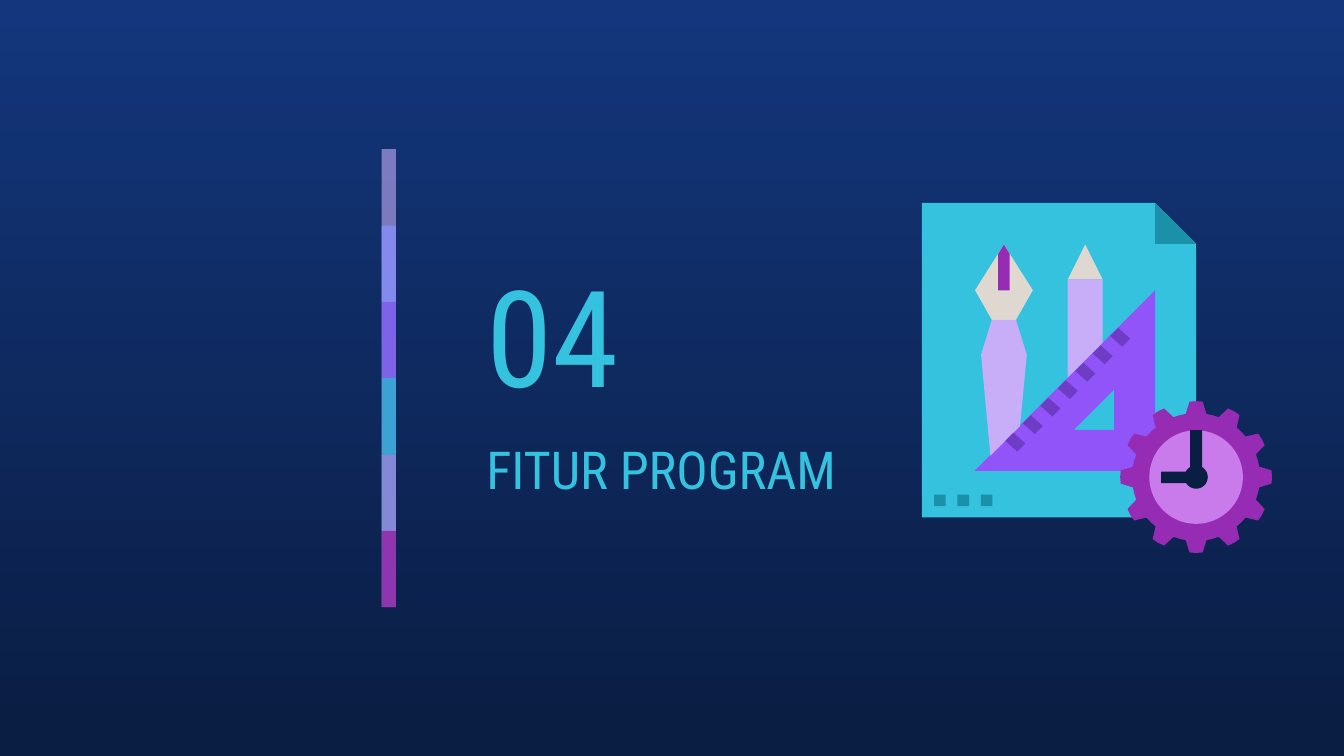
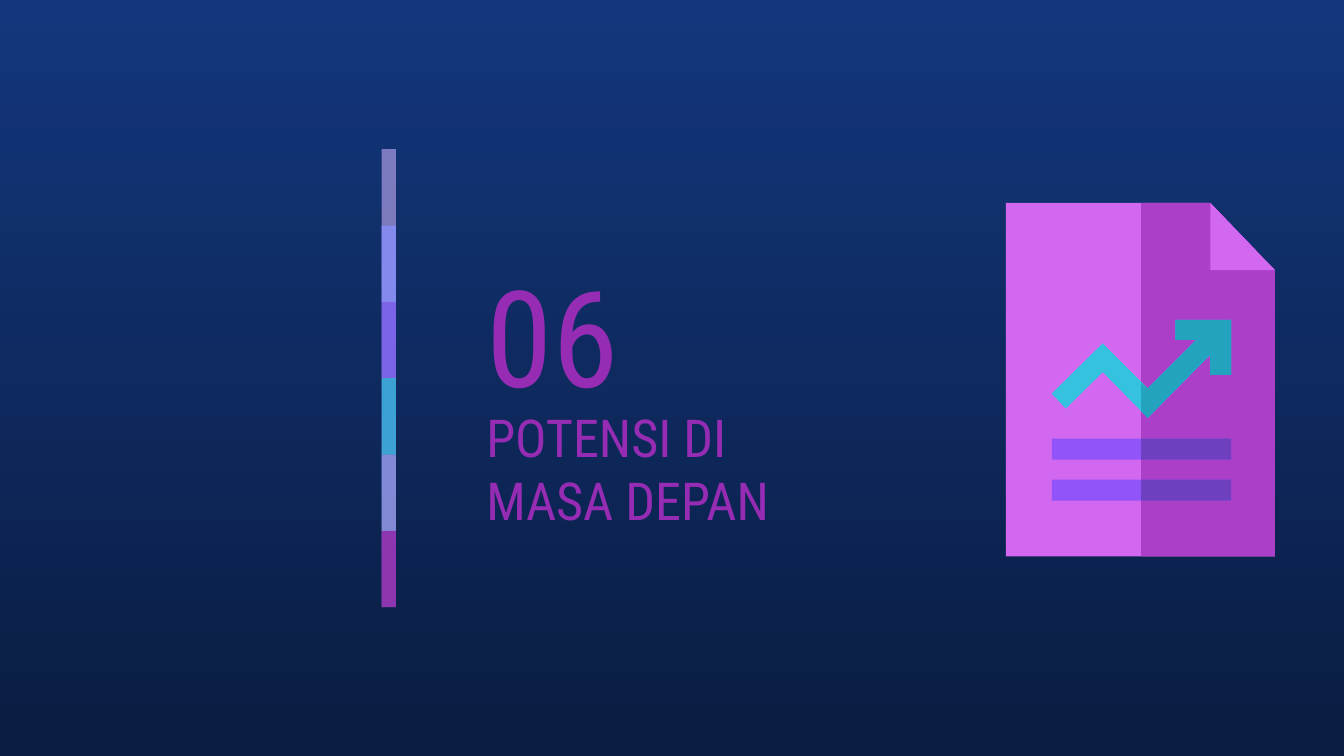
from collections.abc import Callable
from dataclasses import dataclass
from math import cos, radians, sin

from lxml import etree
from pptx import Presentation
from pptx.dml.color import RGBColor
from pptx.enum.shapes import MSO_SHAPE
from pptx.enum.text import MSO_ANCHOR
from pptx.oxml.ns import qn
from pptx.shapes.autoshape import Shape
from pptx.shapes.shapetree import GroupShapes
from pptx.slide import Slide
from pptx.util import Emu, Inches, Pt

RECTANGLE = MSO_SHAPE.RECTANGLE
OVAL = MSO_SHAPE.OVAL
MIDDLE = MSO_ANCHOR.MIDDLE

# The 16:9 slide is a grid of square cells, 100 columns wide
SLIDE_W = Inches(10)
SLIDE_H = Emu(SLIDE_W * 9 // 16)
CELL = SLIDE_W / 100

Point = tuple[float, float]


@dataclass(frozen=True)
class Theme:
    font: str = "Roboto Condensed"
    number_size: int = 72
    title_size: int = 28
    sky: str = "13367C"
    navy: str = "0A1D42"
    cyan: str = "35C2DF"
    teal: str = "1B91A9"
    sea: str = "24A3BE"
    periwinkle: str = "878FFF"
    violet: str = "9154F8"
    dark_violet: str = "6F3CC6"
    shaded_violet: str = "6E3FBE"
    lilac: str = "C8AEF8"
    orchid: str = "CA7BEB"
    pink: str = "D268EF"
    shaded_pink: str = "AB3FC8"
    purple: str = "972CB4"
    cream: str = "DED8D0"


THEME = Theme()


@dataclass(frozen=True)
class Box:
    left: float
    top: float
    width: float
    height: float

    def emu(self) -> list[Emu]:
        return [cells(v) for v in (self.left, self.top, self.width, self.height)]


@dataclass(frozen=True)
class Band:
    color: str
    opacity: int
    segments: int = 2


@dataclass(frozen=True)
class Section:
    number: str
    title: str
    color: str
    illustrate: Callable[[GroupShapes], None]


NUMBER_BOX = Box(35.2, 18.1, 17.5, 13.5)
TITLE_BOX = Box(35.2, 31.5, 28.7, 6.7)

# Each band runs under the next one, so the colours blend
BAND_LEFT, BAND_TOP, BAND_WIDTH, BAND_SEGMENT = 28.4, 11.1, 1.05, 5.68
BANDS = [
    Band(THEME.lilac, 59),
    Band(THEME.periwinkle, 74),
    Band(THEME.violet, 53),
    Band(THEME.cyan, 76),
    Band(THEME.orchid, 56),
    Band(THEME.purple, 74, segments=1),
]


def cells(count: float) -> Emu:
    return Emu(round(count * CELL))


# Drawing helpers
def paint(shape: Shape, color: str, opacity: int = 100) -> None:
    shape.shadow.inherit = False
    shape.line.fill.background()
    shape.fill.solid()
    shape.fill.fore_color.rgb = RGBColor.from_string(color)
    if opacity < 100:
        rgb = shape.fill._xPr.find(f".//{qn('a:srgbClr')}")
        etree.SubElement(rgb, qn("a:alpha"), val=str(opacity * 1000))


def draw_rect(shapes: GroupShapes, box: Box, color: str, opacity: int = 100) -> None:
    paint(shapes.add_shape(RECTANGLE, *box.emu()), color, opacity)


def draw_disc(shapes: GroupShapes, center: Point, radius: float, color: str) -> None:
    box = Box(center[0] - radius, center[1] - radius, 2 * radius, 2 * radius)
    paint(shapes.add_shape(OVAL, *box.emu()), color)


def draw_outline(shapes: GroupShapes, color: str, *contours: list[Point]) -> None:
    scaled = [[(cells(x), cells(y)) for x, y in contour] for contour in contours]
    builder = shapes.build_freeform(*scaled[0][0])
    builder.add_line_segments(scaled[0][1:])
    for contour in scaled[1:]:
        builder.move_to(*contour[0])
        builder.add_line_segments(contour[1:])
    paint(builder.convert_to_shape(), color)


def add_text(slide: Slide, text: str, box: Box, *, size: int, color: str) -> None:
    frame = slide.shapes.add_textbox(*box.emu()).text_frame
    frame.word_wrap = True
    frame.vertical_anchor = MIDDLE
    frame.margin_left = frame.margin_right = cells(1)
    frame.margin_top = frame.margin_bottom = cells(1)
    run = frame.paragraphs[0].add_run()
    run.text = text
    run.font.name = THEME.font
    run.font.size = Pt(size)
    run.font.color.rgb = RGBColor.from_string(color)


# Design tools on a sheet, with a clock in a gear
def draw_gear(shapes: GroupShapes, center: Point, teeth: int = 12) -> None:
    root, tip, crown = 4.76, 5.63, 5.65
    tooth = [(-9.3, root), (-5, tip), (0, crown), (5, tip), (9.3, root), (15, root)]
    rim = []
    for index in range(teeth):
        for offset, radius in tooth:
            angle = radians(index * 360 / teeth + offset)
            rim.append((center[0] + radius * sin(angle), center[1] - radius * cos(angle)))
    draw_outline(shapes, THEME.purple, rim)


def draw_design_tools(shapes: GroupShapes) -> None:
    clock = (89, 35.5)
    # Sheet and its folded corner
    draw_outline(shapes, THEME.cyan,
                 [(68.6, 15.1), (68.6, 38.5), (89, 38.5), (89, 18.15), (85.95, 15.1)])
    draw_outline(shapes, THEME.teal, [(85.95, 15.1), (85.95, 18.15), (89, 18.15)])
    # Set square
    draw_outline(shapes, THEME.violet,
                 [(82.9, 29), (82.9, 32), (79.9, 32)],
                 [(85.95, 21.6), (72.5, 35.05), (85.95, 35.05)])
    draw_gear(shapes, clock)
    # Pencil
    draw_outline(shapes, THEME.cream, [(80.75, 18.2), (79.45, 20.8), (82.05, 20.8)])
    draw_outline(shapes, THEME.lilac,
                 [(79.45, 20.8), (79.45, 28.1), (82.05, 25.5), (82.05, 20.8)])
    # Pen
    draw_outline(shapes, THEME.cream,
                 [(74.7, 18.2), (72.55, 21.6), (73.8, 23.8), (75.6, 23.8), (76.85, 21.6)])
    draw_outline(shapes, THEME.lilac,
                 [(73.8, 23.8), (73, 26.4), (73.7, 33.9),
                  (75.9, 31.7), (76.4, 26.4), (75.6, 23.8)])
    # Clock face, hands and hub
    draw_disc(shapes, clock, 3.48, THEME.orchid)
    draw_outline(shapes, THEME.navy,
                 [(88.55, 32), (88.55, 35.1), (86.4, 35.1),
                  (86.4, 35.95), (89.45, 35.95), (89.45, 32)])
    draw_disc(shapes, clock, 0.87, THEME.navy)
    # Slit of the pen nib
    draw_outline(shapes, THEME.purple,
                 [(74.7, 18.2), (74.27, 18.9), (74.27, 21.6), (75.13, 21.6), (75.13, 18.9)])
    # Ruler marks along the set square
    for index in range(7):
        x, y = 74.8 + 1.3 * index, 32.8 - 1.3 * index
        draw_outline(shapes, THEME.dark_violet,
                     [(x + 0.6, y - 0.6), (x, y), (x + 0.9, y + 0.8), (x + 1.5, y + 0.2)])
    # Dots at the foot of the sheet
    for index in range(3):
        draw_rect(shapes, Box(69.5 + 1.74 * index, 36.8, 0.87, 0.87), THEME.teal)


# Report page with a rising trend, its right half shaded
def draw_growth_report(shapes: GroupShapes) -> None:
    top, bottom, left, middle, right = 15.1, 41.4, 74.85, 84.9, 94.85
    fold = [(90.05, top), (right, 20.1)]
    for edge, color in ((left, THEME.pink), (middle, THEME.shaded_pink)):
        draw_outline(shapes, color,
                     [(edge, top), (edge, bottom), (right, bottom), *reversed(fold)])
    draw_outline(shapes, THEME.pink, [*fold, (90.05, 20.1)])

    # Trend arrow
    head = [(90.05, 26.4), (90.05, 27.9), (91.6, 27.9), (91.6, 23.8),
            (87.45, 23.8), (87.45, 25.3), (89, 25.3), (85.4, 28.9)]
    tail = [(82.05, 25.55), (78.25, 29.3), (79.3, 30.4), (82.05, 27.7), (85.4, 31.1)]
    shaded_tail = [(middle, 28.5), (middle, 30.6), (85.4, 31.1)]
    draw_outline(shapes, THEME.cyan, head + tail)
    draw_outline(shapes, THEME.sea, head + shaded_tail)

    # Lines of text
    text_left, text_right = 78.27, 91.6
    for line_top in (32.65, 35.7):
        for edge, color in ((text_left, THEME.violet), (middle, THEME.shaded_violet)):
            draw_rect(shapes, Box(edge, line_top, text_right - edge, 1.55), color)


# Parts that every section slide shares
def draw_background(slide: Slide) -> None:
    fill = slide.background.fill
    fill.gradient()
    fill.gradient_angle = 270
    for stop, color in zip(fill.gradient_stops, (THEME.sky, THEME.navy)):
        stop.color.rgb = RGBColor.from_string(color)


def draw_bands(shapes: GroupShapes) -> None:
    for index, band in enumerate(BANDS):
        box = Box(BAND_LEFT, BAND_TOP + index * BAND_SEGMENT,
                  BAND_WIDTH, band.segments * BAND_SEGMENT)
        draw_rect(shapes, box, band.color, band.opacity)


def draw_section(slide: Slide, section: Section) -> None:
    draw_background(slide)
    draw_bands(slide.shapes.add_group_shape().shapes)
    add_text(slide, section.number, NUMBER_BOX, size=THEME.number_size, color=section.color)
    add_text(slide, section.title, TITLE_BOX, size=THEME.title_size, color=section.color)
    section.illustrate(slide.shapes.add_group_shape().shapes)


SECTIONS = [
    Section("04", "FITUR PROGRAM", THEME.cyan, draw_design_tools),
    Section("06", "POTENSI DI MASA DEPAN", THEME.purple, draw_growth_report),
]


def main() -> None:
    deck = Presentation()
    deck.slide_width, deck.slide_height = SLIDE_W, SLIDE_H
    blank = deck.slide_layouts[6]
    for section in SECTIONS:
        draw_section(deck.slides.add_slide(blank), section)
    deck.save("out.pptx")


if __name__ == "__main__":
    main()
